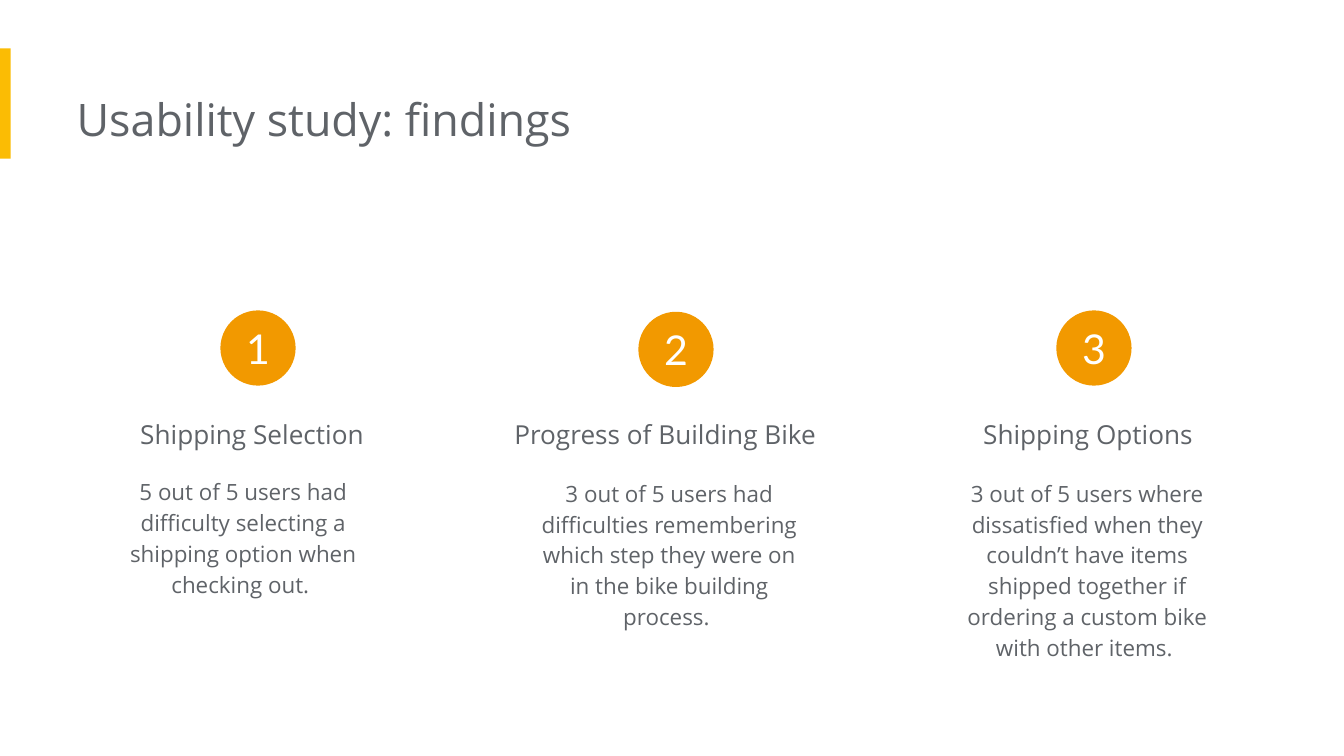
from pptx import Presentation
from pptx.dml.color import RGBColor
from pptx.enum.shapes import MSO_SHAPE
from pptx.enum.text import MSO_ANCHOR, MSO_AUTO_SIZE, PP_ALIGN
from pptx.util import Inches, Pt

RECT, OVAL = MSO_SHAPE.RECTANGLE, MSO_SHAPE.OVAL
TOP, MIDDLE = MSO_ANCHOR.TOP, MSO_ANCHOR.MIDDLE
LEFT, CENTER = PP_ALIGN.LEFT, PP_ALIGN.CENTER
NO_FIT = MSO_AUTO_SIZE.NONE

GRAY, YELLOW, ORANGE, WHITE = "5F6368", "FBBC04", "F29900", "FFFFFF"
FIRST_BADGE, COLUMN_STEP, BADGE = 1.64, 3.11, 0.56
HEADING_TOP, HEADING_HEIGHT, BODY_WIDTH = 2.9, 0.56, 2.16
TEXT_INSETS = (0, 0.1, 0.1, 0.1)

FINDINGS = [
    (2.31, ("Shipping Selection", 0.9, 2.05),
     ("5 out of 5 users had difficulty selecting a shipping option when "
      "checking out. ", 0.78, 3.43, 1.13)),
    (2.32, ("Progress of Building Bike ", 3.53, 2.99),
     ("3 out of 5 users had difficulties remembering which step they were on "
      "in the bike building process. ", 3.95, 3.44, 1.36)),
    (2.31, ("Shipping Options", 7.12, 2.05),
     ("3 out of 5 users where dissatisfied when they couldn’t have items "
      "shipped together if ordering a custom bike with other items. ",
      7.06, 3.44, 1.6)),
]


def rgb(color):
    """Turn a hex string into a colour."""
    return RGBColor.from_string(color)


def write(sp, text, size, color=GRAY, font="Open Sans", align=CENTER,
          spacing=1.0, insets=TEXT_INSETS, anchor=TOP):
    """Put one formatted paragraph into a shape."""
    tf = sp.text_frame
    tf.text = text
    tf.word_wrap = True
    tf.auto_size = NO_FIT
    tf.vertical_anchor = anchor
    tf.margin_left, tf.margin_top, tf.margin_right, tf.margin_bottom = map(Inches, insets)
    p = tf.paragraphs[0]
    p.alignment, p.line_spacing = align, spacing
    p.space_before = p.space_after = Pt(0)
    r = p.runs[0]
    r.font.name, r.font.size = font, Pt(size)
    r.font.color.rgb = rgb(color)


def add_title(slide, text, *box):
    """Move and fill the title placeholder."""
    sp = slide.shapes.title
    sp.left, sp.top, sp.width, sp.height = map(Inches, box)
    write(sp, text, 24, align=LEFT)


def add_text(slide, text, box, size, spacing):
    """Add a centred text box."""
    write(slide.shapes.add_textbox(*map(Inches, box)), text, size, spacing=spacing)


def add_filled(slide, kind, box, color):
    """Add a flat shape without outline."""
    sp = slide.shapes.add_shape(kind, *map(Inches, box))
    sp.shadow.inherit = False
    sp.fill.solid()
    sp.fill.fore_color.rgb = rgb(color)
    sp.line.fill.background()
    return sp


def add_finding(slide, index, badge_top, heading, body):
    """Add one column: numbered badge, heading and description."""
    title, title_left, title_width = heading
    text, left, top, height = body
    add_text(slide, text, (left, top, BODY_WIDTH, height), 12, 1.15)
    add_text(slide, title, (title_left, HEADING_TOP, title_width, HEADING_HEIGHT), 14, 1.5)
    badge_left = FIRST_BADGE + index * COLUMN_STEP
    badge = add_filled(slide, OVAL, (badge_left, badge_top, BADGE, BADGE), ORANGE)
    write(badge, str(index + 1), 22, WHITE, "Lato", insets=(0, 0, 0, 0), anchor=MIDDLE)


def main():
    """Build and save the slide."""
    prs = Presentation()
    prs.slide_width = Inches(10)
    prs.slide_height = prs.slide_width * 9 // 16
    slide = prs.slides.add_slide(prs.slide_layouts[5])
    add_filled(slide, RECT, (0, 0.36, 0.08, 0.82), YELLOW)
    add_title(slide, "Usability study: findings", 0.57, 0.58, 6.73, 0.61)
    for index, finding in enumerate(FINDINGS):
        add_finding(slide, index, *finding)
    prs.save("out.pptx")


if __name__ == "__main__":
    main()
